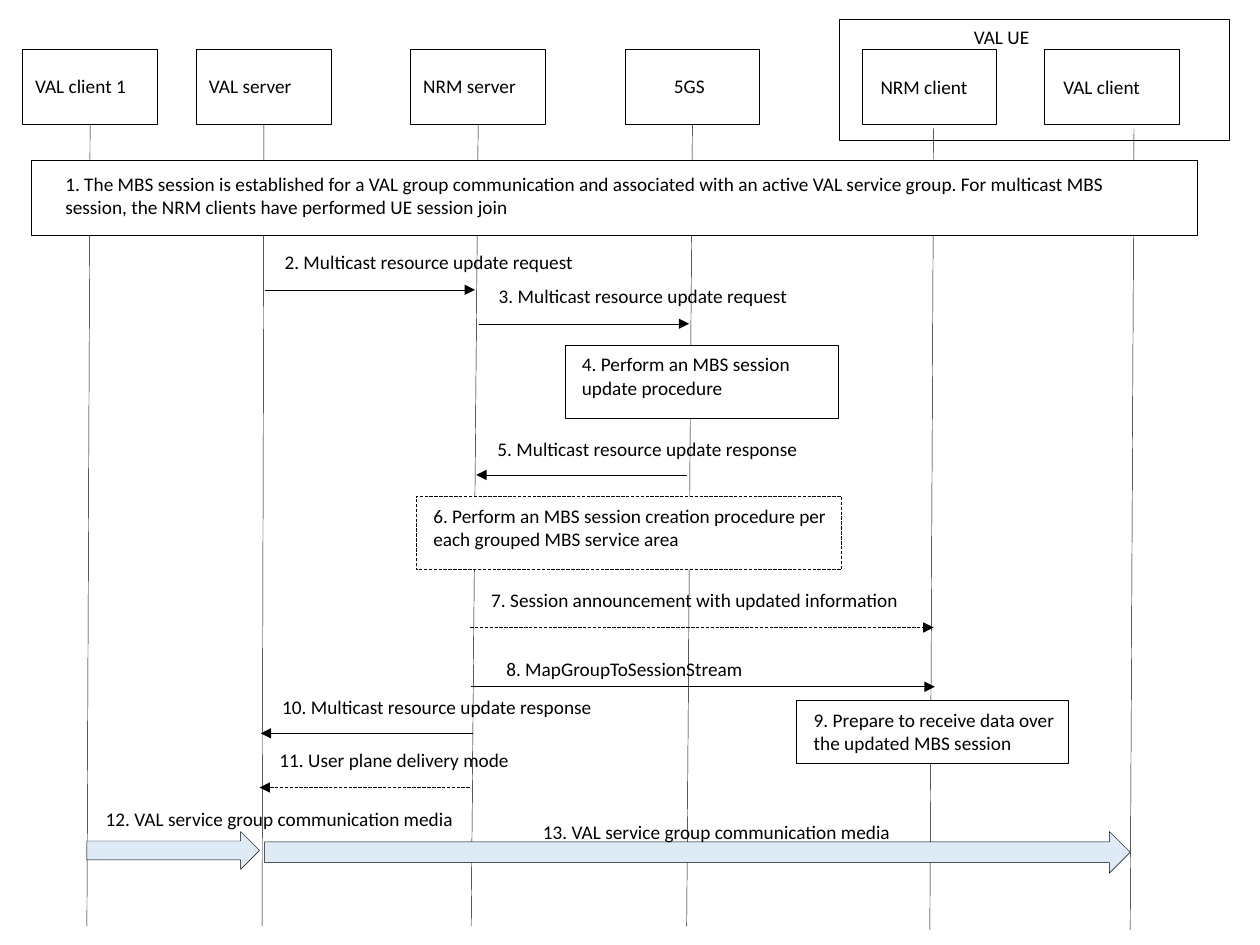
from lxml import etree
from pptx import Presentation
from pptx import util as u
from pptx.dml.color import RGBColor
from pptx.enum import dml, shapes, text
from pptx.oxml.ns import qn

BLACK, WHITE, PALE_BLUE = "000000", "FFFFFF", "DEEBF7"
HEAD_TOP, HEAD_W, HEAD_H = 0.39, 1.07, 0.6
LABEL_H, NOTE_H = 0.29, 0.47
LIFELINE_LENGTH, LIFELINE_LEAN = 6.36, 0.03

# name, box left, label left, label top, label width,
# lifeline start (None: joined to the middle of the box), lifeline end x
PARTICIPANTS = [
    ("VAL client 1", 0.18, 0.18, 0.54, 0.94, None, 0.69),
    ("VAL server", 1.56, 1.56, 0.54, 0.87, None, 2.08),
    ("NRM server", 3.26, 3.26, 0.54, 0.95, None, 3.74),
    ("5GS", 4.96, 5.25, 0.54, 0.45, None, 5.45),
    ("NRM client", 6.84, 6.89, 0.55, 0.9, 1.02, 7.38),
    ("VAL client", 8.29, 8.34, 0.55, 0.82, 1.02, 8.97),
]
UE_BOX = (6.66, 0.15, 3.1, 0.96)
UE_LABEL = ("VAL UE", 7.63, 0.15, 0.65)

# wording, box, text left, text top, text width, dashed
NOTES = [
    ("1. The MBS session is established for a VAL group communication and "
     "associated with an active VAL service group. For multicast MBS session, "
     "the NRM clients have performed UE session join",
     (0.25, 1.27, 9.25, 0.6), 0.42, 1.32, 8.94, False),
    ("4. Perform an MBS session update procedure",
     (4.49, 2.74, 2.16, 0.58), 4.52, 2.75, 2.16, False),
    ("6. Perform an MBS session creation procedure per each grouped MBS service area",
     (3.3, 3.94, 3.38, 0.58), 3.34, 3.95, 3.35, True),
    ("9. Prepare to receive data over the updated MBS session",
     (6.32, 5.56, 2.16, 0.5), 6.36, 5.57, 2.25, False),
]

# wording, label left, label top, label width, from x, to x, arrow y, dashed
MESSAGES = [
    ("2. Multicast resource update request", 2.16, 1.94, 2.51, 2.1, 3.77, 2.3, False),
    ("3. Multicast resource update request", 3.86, 2.21, 2.51, 3.8, 5.47, 2.57, False),
    ("5. Multicast resource update response", 3.85, 3.42, 2.6, 5.45, 3.78, 3.77, False),
    ("7. Session announcement with updated information",
     3.8, 4.62, 3.45, 3.73, 7.41, 4.98, True),
    ("8. MapGroupToSessionStream", 3.92, 5.17, 2.1, 3.74, 7.42, 5.45, False),
    ("10. Multicast resource update response", 2.14, 5.47, 2.68, 3.75, 2.07, 5.82, False),
    ("11. User plane delivery mode", 2.12, 5.89, 2.04, 3.73, 2.06, 6.25, True),
]

# wording, label left, label top, label width, block arrow
MEDIA_FLOWS = [
    ("12. VAL service group communication media",
     0.74, 6.36, 2.98, (0.69, 6.6, 1.37, 0.3)),
    ("13. VAL service group communication media",
     4.21, 6.46, 2.98, (2.1, 6.6, 6.87, 0.33)),
]

prs = Presentation()
prs.slide_width, prs.slide_height = u.Inches(10), u.Inches(7.5)
slide = prs.slides.add_slide(prs.slide_layouts[6])


def color(hex_code):
    return RGBColor.from_string(hex_code)


def style_line(line, dashed=False):
    line.color.rgb = color(BLACK)
    line.width = u.Pt(0.25)
    if dashed:
        line.dash_style = dml.MSO_LINE.LONG_DASH


def add_block(box, fill=None, dashed=False, preset=shapes.MSO_SHAPE.RECTANGLE):
    block = slide.shapes.add_shape(preset, *map(u.Inches, box))
    block.shadow.inherit = False
    if fill:
        block.fill.solid()
        block.fill.fore_color.rgb = color(fill)
    else:
        block.fill.background()
    style_line(block.line, dashed)
    return block


def add_text(words, left, top, width, height=LABEL_H, wrap=False, size=11,
             font="Calibri", ink=BLACK):
    label = slide.shapes.add_textbox(*map(u.Inches, (left, top, width, height)))
    frame = label.text_frame
    frame.word_wrap = wrap
    frame.auto_size = text.MSO_AUTO_SIZE.SHAPE_TO_FIT_TEXT
    run = frame.paragraphs[0].add_run()
    run.text = words
    run.font.size, run.font.name = u.Pt(size), font
    run.font.color.rgb = color(ink)


def add_line(x1, y1, x2, y2, dashed=False, arrow=False):
    line = slide.shapes.add_connector(
        shapes.MSO_CONNECTOR.STRAIGHT, *map(u.Inches, (x1, y1, x2, y2)))
    style_line(line.line, dashed)
    if arrow:
        etree.SubElement(line.line._get_or_add_ln(), qn("a:tailEnd"), type="triangle")
    etree.SubElement(line._element.spPr, qn("a:effectLst"))
    return line


heads = []
for name, left, label_left, label_top, label_width, _, _ in PARTICIPANTS:
    heads.append(add_block((left, HEAD_TOP, HEAD_W, HEAD_H)))
    add_text(name, label_left, label_top, label_width)
add_block(UE_BOX)
add_text(*UE_LABEL)

for head, (*_, start, end_x) in zip(heads, PARTICIPANTS):
    top = start or HEAD_TOP + HEAD_H
    lifeline = add_line(end_x + LIFELINE_LEAN, top, end_x, top + LIFELINE_LENGTH)
    if start is None:
        lifeline.begin_connect(head, 2)

for words, box, left, top, width, dashed in NOTES:
    add_block(box, WHITE, dashed)
    add_text(words, left, top, width, NOTE_H, wrap=True)

for words, left, top, width, from_x, to_x, y, dashed in MESSAGES:
    add_line(from_x, y, to_x, y, dashed, arrow=True)
    add_text(words, left, top, width)

for words, left, top, width, box in MEDIA_FLOWS:
    add_block(box, PALE_BLUE, preset=shapes.MSO_SHAPE.RIGHT_ARROW)
    add_text(words, left, top, width)

prs.save("out.pptx")
